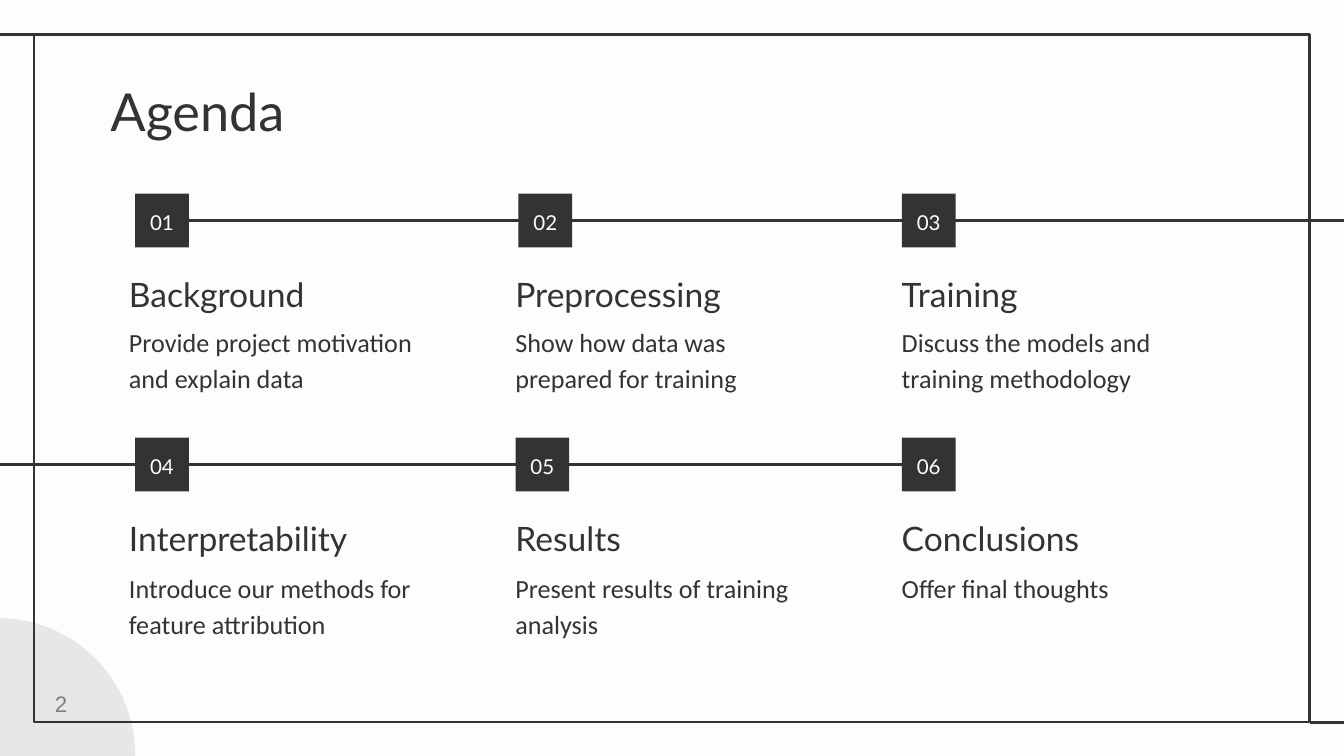
from dataclasses import dataclass

from lxml.etree import SubElement
from pptx import Presentation
from pptx.dml.color import RGBColor
from pptx.enum.shapes import MSO_CONNECTOR, MSO_SHAPE
from pptx.enum.text import MSO_ANCHOR, MSO_AUTO_SIZE, PP_ALIGN
from pptx.oxml.ns import qn
from pptx.util import Pt

INK, PAPER, CIRCLE_GRAY, NUMBER_GRAY = "333333", "FDFDFD", "E8E7E7", "7F7F7F"
MARKER_SIZE = 28.8
TEXT_LEFT, TEXT_STEP, TEXT_WIDTH = 62, 207, 181.4
TOP, RIGHT_SIDE, LEFT_SIDE = 0, 3, 1


@dataclass
class Topic:
    heading: str
    description: str
    marker_left: float


@dataclass
class Row:
    marker_top: float
    heading_top: float
    description_top: float
    topics: list[Topic]


ROWS = [
    Row(103.8, 145.2, 165.4, [
        Topic("Background", "Provide project motivation and explain data", 72.4),
        Topic("Preprocessing", "Show how data was prepared for training", 277.8),
        Topic("Training", "Discuss the models and training methodology", 483.2),
    ]),
    Row(234.5, 275.8, 297, [
        Topic("Interpretability", "Introduce our methods for feature attribution", 72.4),
        Topic("Results", "Present results of training analysis", 276.2),
        Topic("Conclusions", "Offer final thoughts", 483.2),
    ]),
]


def color(value: str) -> RGBColor:
    return RGBColor.from_string(value)


def write(shape, text: str, *, size: float, font: str = "Lato", ink: str = INK,
          align=PP_ALIGN.LEFT, anchor=MSO_ANCHOR.TOP, spacing: float = 1.0,
          inset: float = 7.2) -> None:
    frame = shape.text_frame
    frame.word_wrap = True
    frame.auto_size = MSO_AUTO_SIZE.NONE
    frame.vertical_anchor = anchor
    frame.margin_left = frame.margin_right = Pt(7.2)
    frame.margin_top = frame.margin_bottom = Pt(inset)
    paragraph = frame.paragraphs[0]
    paragraph.alignment = align
    paragraph.line_spacing = spacing
    run = paragraph.add_run()
    run.text = text
    run.font.size, run.font.name = Pt(size), font
    run.font.color.rgb = color(ink)


def add_text(slide, left: float, top: float, width: float, height: float,
             text: str, **text_format) -> None:
    box = slide.shapes.add_textbox(Pt(left), Pt(top), Pt(width), Pt(height))
    write(box, text, **text_format)


def add_shape(slide, kind, left: float, top: float, width: float, height: float,
              fill: str | None = None, line: str | None = None):
    shape = slide.shapes.add_shape(kind, Pt(left), Pt(top), Pt(width), Pt(height))
    shape.shadow.inherit = False
    if fill:
        shape.fill.solid()
        shape.fill.fore_color.rgb = color(fill)
    else:
        shape.fill.background()
    if line:
        shape.line.color.rgb = color(line)
        shape.line.width = Pt(1.5)
    else:
        shape.line.fill.background()
    return shape


def add_line(slide, start: float, end: float, y: float):
    line = slide.shapes.add_connector(
        MSO_CONNECTOR.STRAIGHT, Pt(start), Pt(y), Pt(end), Pt(y))
    line.line.color.rgb = color(INK)
    line.line.width = Pt(1.5)
    SubElement(line._element.spPr, qn("a:effectLst"))
    return line


def add_row_markers(slide, row: Row, first_number: int) -> list:
    markers = []
    for number, topic in enumerate(row.topics, first_number):
        marker = add_shape(slide, MSO_SHAPE.RECTANGLE, topic.marker_left,
                           row.marker_top, MARKER_SIZE, MARKER_SIZE, fill=INK)
        write(marker, f"{number:02d}", size=11, ink=PAPER, align=PP_ALIGN.CENTER,
              anchor=MSO_ANCHOR.MIDDLE, spacing=1.15)
        markers.append(marker)
    return markers


def add_row_texts(slide, row: Row) -> None:
    for column, topic in enumerate(row.topics):
        left = TEXT_LEFT + column * TEXT_STEP
        add_text(slide, left, row.heading_top, TEXT_WIDTH, 30.2, topic.heading,
                 size=18, anchor=MSO_ANCHOR.BOTTOM, spacing=1.15)
        add_text(slide, left, row.description_top, TEXT_WIDTH, 45.4,
                 topic.description, size=14, font="Calibri", spacing=1.15)


def main() -> None:
    presentation = Presentation()
    presentation.slide_width, presentation.slide_height = Pt(720), Pt(405)
    slide = presentation.slides.add_slide(presentation.slide_layouts[5])
    slide.background.fill.solid()
    slide.background.fill.fore_color.rgb = color(PAPER)

    # Corner circle and frame with its two extensions
    add_shape(slide, MSO_SHAPE.OVAL, -74.4, 331.1, 146.8, 146.8, fill=CIRCLE_GRAY)
    add_shape(slide, MSO_SHAPE.RECTANGLE, 18.2, 18.4, 683.3, 368.5, line=INK)
    add_line(slide, 18.4, -1.4, 18.4)
    add_line(slide, 722, 701.6, 386.9)

    # Title
    title = slide.shapes.title
    title.left, title.top, title.width, title.height = Pt(52), Pt(35), Pt(607), Pt(45.4)
    write(title, "Agenda", size=28)

    # Timelines lie behind the markers they are joined to
    upper, lower = ROWS
    upper_line = add_line(slide, 101.2, 732, upper.marker_top + MARKER_SIZE / 2)
    lower_line = add_line(slide, 483.2, -13, lower.marker_top + MARKER_SIZE / 2)
    upper_markers = add_row_markers(slide, upper, 1)
    lower_markers = add_row_markers(slide, lower, 4)
    upper_line.begin_connect(upper_markers[0], RIGHT_SIDE)
    lower_line.begin_connect(lower_markers[-1], LEFT_SIDE)

    # Headings and descriptions
    for row in ROWS:
        add_row_texts(slide, row)

    # Page number
    add_text(slide, -118.8, 366, 162, 21.6, "2", size=12, font="Arial",
             ink=NUMBER_GRAY, align=PP_ALIGN.RIGHT, anchor=MSO_ANCHOR.MIDDLE, inset=3.6)

    presentation.save("out.pptx")


if __name__ == "__main__":
    main()
